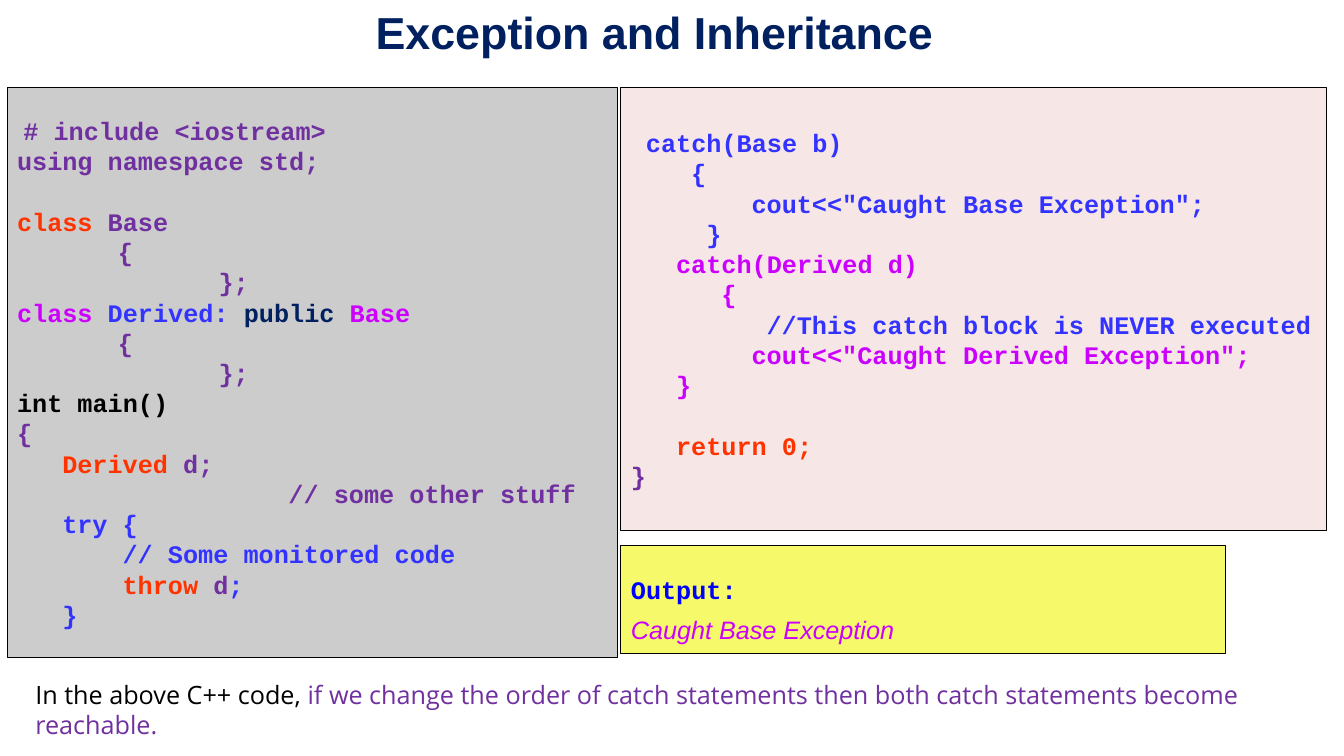
from dataclasses import dataclass, field

from pptx import Presentation
from pptx.dml.color import RGBColor
from pptx.enum.shapes import MSO_SHAPE as Preset
from pptx.enum.text import MSO_ANCHOR as Anchor, PP_ALIGN as Align
from pptx.util import Cm, Pt

# Palette
BLACK, NAVY, BLUE = "000000", "002060", "3333FF"
PURPLE, MAGENTA, RED = "7030A0", "CC00FF", "FF3300"

# Text formats
CODE = {"name": "Courier New", "size": Pt(18), "bold": True, "italic": False}
RESULT = {"name": "Arial", "size": Pt(18), "bold": False, "italic": True}
HEADING = {"name": "Arial", "size": Pt(32), "bold": True}
REMARK = {"name": "Open Sans", "size": Pt(18), "bold": False}

# Indents in cm, and the height of a skipped code line in points
CHAR, TAB = 0.38, 2.54
SKIP = 21.6


@dataclass
class Line:
    runs: list[tuple[str, str]]
    indent: float = 0
    before: float = 0
    style: dict = field(default_factory=lambda: CODE)
    align: Align = Align.LEFT


@dataclass
class Block:
    left: float
    top: float
    width: float
    height: float
    lines: list[Line]
    fill: str | None = None
    top_inset: float = 0.13


def rgb(value: str) -> RGBColor:
    return RGBColor.from_string(value)


def write_line(paragraph, line: Line) -> None:
    paragraph.alignment = line.align
    paragraph.space_before = Pt(line.before)
    properties = paragraph._p.get_or_add_pPr()
    properties.set("marL", str(Cm(line.indent)))
    properties.set("indent", "0")
    for words, color in line.runs:
        run = paragraph.add_run()
        run.text = words
        for name, value in line.style.items():
            setattr(run.font, name, value)
        run.font.color.rgb = rgb(color)


def draw_block(slide, block: Block) -> None:
    bounds = [Cm(n) for n in (block.left, block.top, block.width, block.height)]
    if block.fill:
        panel = slide.shapes.add_shape(Preset.RECTANGLE, *bounds)
        panel.shadow.inherit = False
        panel.fill.solid()
        panel.fill.fore_color.rgb = rgb(block.fill)
        panel.line.color.rgb = rgb(BLACK)
        panel.line.width = Pt(0.75)
    else:
        panel = slide.shapes.add_textbox(*bounds)
    frame = panel.text_frame
    layout = {
        "word_wrap": True,
        "vertical_anchor": Anchor.MIDDLE if block.fill else Anchor.TOP,
        "margin_left": Cm(0.25),
        "margin_right": Cm(0.25),
        "margin_top": Cm(block.top_inset),
        "margin_bottom": Cm(0.13),
    }
    for name, value in layout.items():
        setattr(frame, name, value)
    for index, line in enumerate(block.lines):
        paragraph = frame.add_paragraph() if index else frame.paragraphs[0]
        write_line(paragraph, line)


# Left panel: classes and the try block
EMPTY_BODY = [Line([("{", PURPLE)], TAB), Line([("};", PURPLE)], 2 * TAB)]
program = [
    Line([("# include <iostream>", PURPLE)], 0.16),
    Line([("using namespace std;", PURPLE)]),
    Line([("class ", RED), ("Base", PURPLE)], before=SKIP),
    *EMPTY_BODY,
    Line([("class", MAGENTA), (" Derived: ", BLUE), ("public ", NAVY), ("Base", MAGENTA)]),
    *EMPTY_BODY,
    Line([("int main()", BLACK)]),
    Line([("{", PURPLE)]),
    Line([("Derived ", RED), ("d;", PURPLE)], 3 * CHAR),
    Line([("// some other stuff", PURPLE)], 18 * CHAR),
    Line([("try {", BLUE)], 3 * CHAR),
    Line([("// Some monitored code", BLUE)], 7 * CHAR),
    Line([("throw ", RED), ("d", PURPLE), (";", BLUE)], 7 * CHAR),
    Line([("}", BLUE)], 3 * CHAR),
]

# Right panel: catch blocks
handlers = [
    Line([("catch(Base b)", BLUE)], CHAR),
    Line([("{", BLUE)], 4 * CHAR),
    Line([('cout<<"Caught Base Exception";', BLUE)], 8 * CHAR),
    Line([("}", BLUE)], 5 * CHAR),
    Line([("catch(Derived d)", MAGENTA)], 3 * CHAR),
    Line([("{", MAGENTA)], 6 * CHAR),
    Line([("//This catch block is NEVER executed", BLUE)], 9 * CHAR),
    Line([('cout<<"Caught Derived Exception";', MAGENTA)], 8 * CHAR),
    Line([("}", MAGENTA)], 3 * CHAR),
    Line([("return 0;", RED)], 3 * CHAR, before=SKIP),
    Line([("}", PURPLE)]),
]

# Output, title and closing remark
output = [
    Line([("Output:", "0000FF")]),
    Line([("Caught Base Exception", MAGENTA)], before=7, style=RESULT),
]
title = [Line([("Exception and Inheritance", NAVY)], style=HEADING, align=Align.CENTER)]
remark = [
    Line(
        [
            ("In the above C++ code, ", BLACK),
            ("if we change the order of catch statements then both catch "
             "statements become reachable.", PURPLE),
        ],
        style=REMARK,
    )
]

PANEL_TOP, RIGHT_LEFT = 2.21, 15.65
BLOCKS = [
    Block(0.18, PANEL_TOP, 15.39, 14.35, program, "CCCCCC"),
    Block(RIGHT_LEFT, PANEL_TOP, 17.78, 11.15, handlers, "F6E7E6"),
    Block(RIGHT_LEFT, 13.74, 15.24, 2.72, output, "F6F969", top_inset=0.66),
    Block(4.65, 0, 23.7, 1.63, title),
    Block(0.64, 16.99, 32.82, 1.02, remark),
]


def main() -> None:
    deck = Presentation()
    deck.slide_width, deck.slide_height = Cm(33.87), Cm(19.05)
    slide = deck.slides.add_slide(deck.slide_layouts[6])
    for block in BLOCKS:
        draw_block(slide, block)
    deck.save("out.pptx")


if __name__ == "__main__":
    main()
